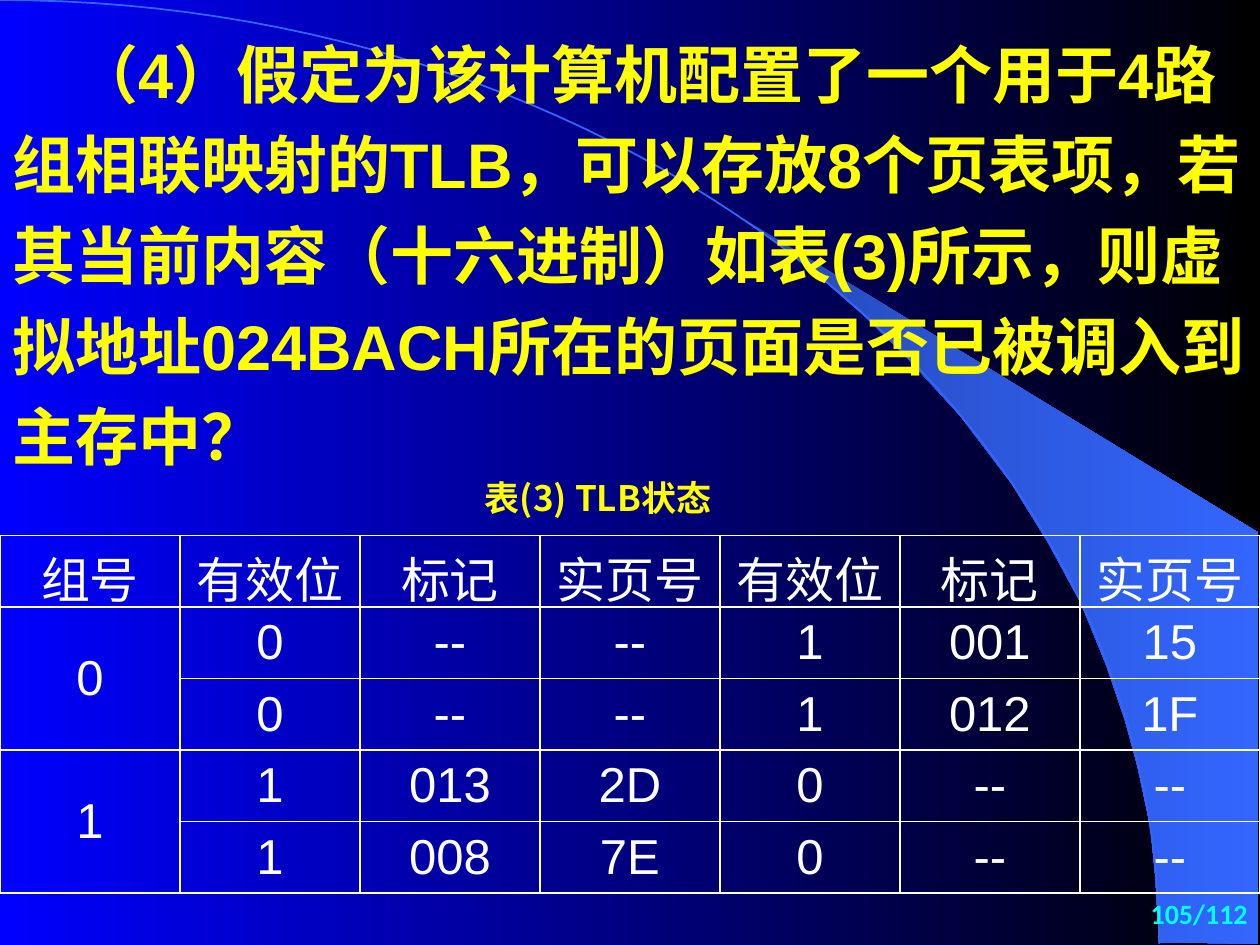
from lxml import etree
from pptx import Presentation, util as u
from pptx.dml.color import RGBColor
from pptx.enum import text as t
from pptx.oxml.ns import qn

I = u.Inches


def rgb(code):
    return RGBColor.from_string(code)


def style(par, size, face, color, bold=False):
    font = par.font if not par.runs else par.runs[0].font
    font.size, font.name, font.bold = u.Pt(size), face, bold
    font.color.rgb = rgb(color)


deck = Presentation()
deck.slide_width, deck.slide_height = I(10), I(7.5)
slide = deck.slides.add_slide(deck.slide_layouts[6])
shapes = slide.shapes

# Curved band and arc
band = [(9.2, 7.48), (9.99, 7.49), (9.99, 4.23), (5.89, 1.73), (6.24, 1.99),
        (6.53, 2.22), (6.85, 2.5), (7.16, 2.8), (7.62, 3.3), (8.03, 3.84),
        (8.32, 4.31), (8.58, 4.79), (8.78, 5.28), (8.93, 5.72), (9.03, 6.09),
        (9.13, 6.56), (9.17, 6.96)]
arc = []
for n in range(61):
    k = n / 60
    m = 1 - k
    arc.append((3 * m * m * k * 5.08 + (3 * m * k * k + k ** 3) * 9.2,
                3 * m * k * k * 3.35 + k ** 3 * 7.49))
curves = []
for pts, close in ((band, True), (arc, False)):
    pts = [(I(x), I(y)) for x, y in pts]
    pen = shapes.build_freeform(*pts[0])
    pen.add_line_segments(pts[1:], close=close)
    curve = pen.convert_to_shape()
    curve.shadow.inherit = False
    curves.append(curve)
curves[0].line.fill.background()
curves[1].fill.background()
curves[1].line.color.rgb = rgb("3366FF")
curves[1].line.width = u.Pt(1)

for fill, tones in ((slide.background.fill, ("0000FF", "000000")),
                    (curves[0].fill, ("2449B6", "3366FF"))):
    fill.gradient()
    fill.gradient_angle = 0
    for stop, tone in zip(fill.gradient_stops, tones):
        stop.color.rgb = rgb(tone)

# Question, caption and page number
question = ("（4）假定为该计算机配置了一个用于4路组相联映射的TLB，可以存放8个页表项，"
            "若其当前内容（十六进制）如表(3)所示，则虚拟地址024BACH所在的页面是否已被调入到主存中？")
pars = []
for words, spot, size, face, color in (
        (question, (0, 0.11, 10, 3.66), 36, "Arial", "FFFF00"),
        ("表(3) TLB状态", (3.75, 3.73, 2.17, 0.44), 20, "Noto Sans CJK SC", "FFFF00"),
        ("105/112", (7.92, 7, 2.08, 0.5), 16, "Calibri", "00FFFF")):
    frame = shapes.add_textbox(*map(I, spot)).text_frame
    frame.word_wrap = True
    frame.text = words
    par = frame.paragraphs[0]
    style(par, size, face, color, True)
    pars.append(par)
pars[0].line_spacing = 1.2
pars[0]._p.get_or_add_pPr().set("indent", str(I(0.5)))
pars[2].alignment = t.PP_ALIGN.RIGHT
frame.vertical_anchor = t.MSO_ANCHOR.MIDDLE

# TLB table
rows = [
    ["组号"] + ["有效位", "标记", "实页号"] * 2,
    ["0", "0", "--", "--", "1", "001", "15"],
    ["", "0", "--", "--", "1", "012", "1F"],
    ["1", "1", "013", "2D", "0", "--", "--"],
    ["", "1", "008", "7E", "0", "--", "--"],
]
holder = shapes.add_table(5, 7, 0, I(4.25), I(10), I(2.83))
grid = holder.table
grid.first_row = grid.horz_banding = False
for row, line in zip(grid.rows, rows):
    row.height = I(0.41)
    for cell, words in zip(row.cells, line):
        cell.text = words
        cell.vertical_anchor = t.MSO_ANCHOR.MIDDLE
        par = cell.text_frame.paragraphs[0]
        par.alignment = t.PP_ALIGN.CENTER
        style(par, 28, "Arial", "FFFFFF")
        props = cell._tc.get_or_add_tcPr()
        for side in ("a:lnL", "a:lnR", "a:lnT", "a:lnB"):
            edge = etree.SubElement(props, qn(side), w=str(u.Pt(1)))
            paint = etree.SubElement(edge, qn("a:solidFill"))
            etree.SubElement(paint, qn("a:srgbClr"), val="FFFFFF")
        cell.fill.background()
for top in (1, 3):
    grid.cell(top, 0).merge(grid.cell(top + 1, 0))
holder.height = I(2.83)

deck.save("out.pptx")
